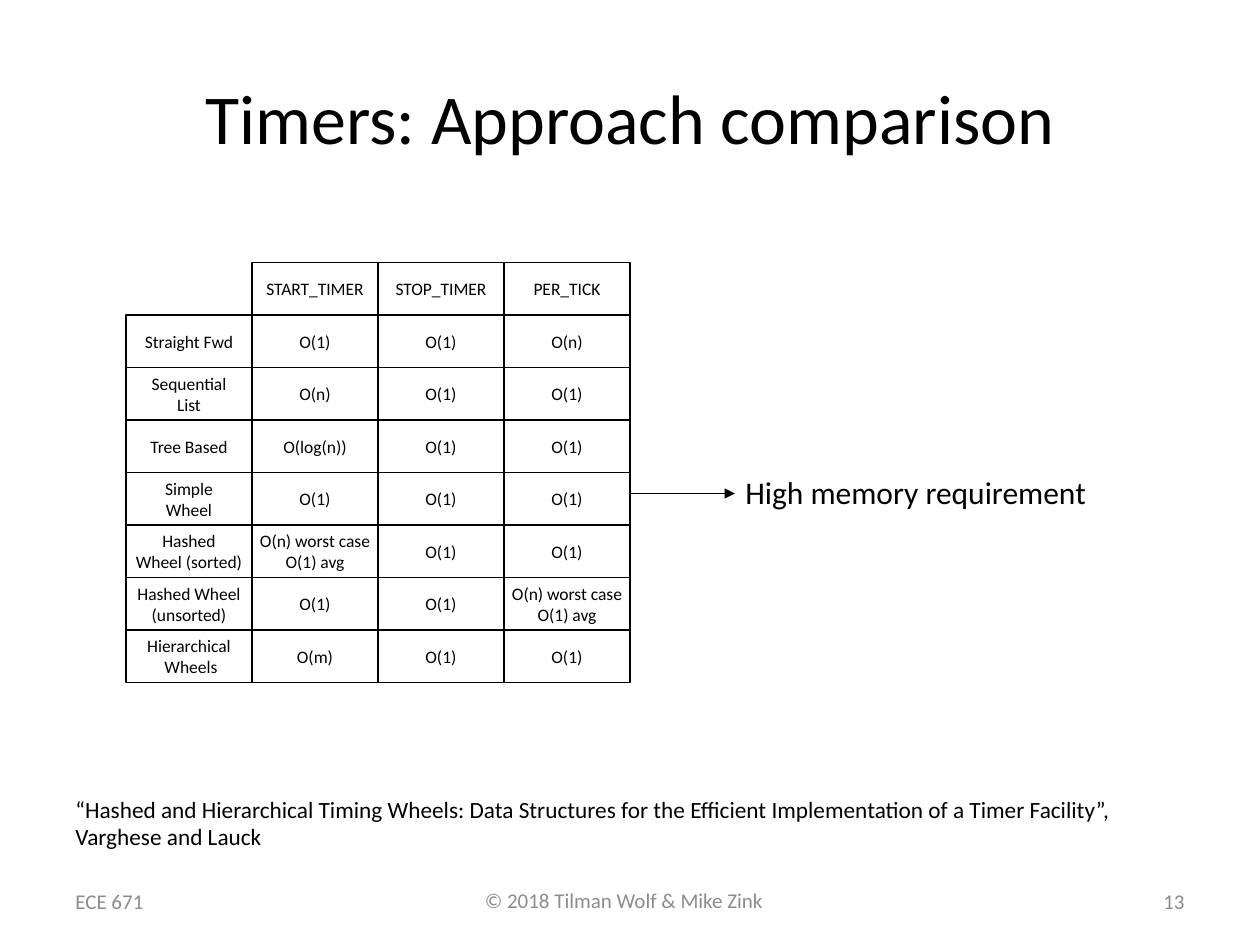
import dataclasses
import typing

import pptx
import pptx.dml.color
import pptx.enum.shapes
import pptx.enum.text
import pptx.oxml
import pptx.oxml.ns
import pptx.util

PX = 7620  # EMU per px, 120 px to the inch
FONT = "Calibri"
COLORS = {"ink": "000000", "gray": "8C8C8C"}
ALIGN = pptx.enum.text.PP_ALIGN
ANCHOR = pptx.enum.text.MSO_ANCHOR
NS = pptx.oxml.ns.nsdecls("a")

GRID = [
    ["", "START_TIMER", "STOP_TIMER", "PER_TICK"],
    ["Straight Fwd", "O(1)", "O(1)", "O(n)"],
    ["Sequential\nList", "O(n)", "O(1)", "O(1)"],
    ["Tree Based", "O(log(n))", "O(1)", "O(1)"],
    ["Simple\nWheel", "O(1)", "O(1)", "O(1)"],
    ["Hashed\nWheel (sorted)", "O(n) worst case\nO(1) avg", "O(1)", "O(1)"],
    ["Hashed Wheel\n(unsorted)", "O(1)", "O(1)", "O(n) worst case\nO(1) avg"],
    ["Hierarchical\n Wheels", "O(m)", "O(1)", "O(1)"],
]
LEFT, TOP, COL, ROW = 120, 250, 120, 50


@dataclasses.dataclass
class Label:
    text: str
    x: int
    y: int
    w: int
    h: int
    size: float
    color: str = "ink"
    align: typing.Any = ALIGN.LEFT
    anchor: typing.Any = ANCHOR.TOP
    wrap: bool = True


TITLE = Label("Timers: Approach comparison", 60, 36, 1080, 150, 40,
              align=ALIGN.CENTER, anchor=ANCHOR.MIDDLE)
LABELS = [
    Label("© 2018 Tilman Wolf & Mike Zink", 450, 839, 293, 60, 12, "gray", wrap=False),
    Label("“Hashed and Hierarchical Timing Wheels: Data Structures for the Efficient "
          "Implementation of a Timer Facility”, Varghese and Lauck", 60, 751, 1080, 54, 13.3),
    Label("ECE 671", 60, 834, 280, 48, 12, "gray", anchor=ANCHOR.MIDDLE),
    Label("13", 860, 834, 280, 48, 12, "gray", ALIGN.RIGHT, ANCHOR.MIDDLE),
    Label("High memory requirement", 698, 445, 373, 48, 18, wrap=False),
]


def rgb(name: str) -> pptx.dml.color.RGBColor:
    return pptx.dml.color.RGBColor.from_string(COLORS[name])


def fill_text(shape, item: Label) -> None:
    shape.left, shape.top = item.x * PX, item.y * PX
    shape.width, shape.height = item.w * PX, item.h * PX
    frame = shape.text_frame
    frame.text = item.text
    frame.word_wrap = item.wrap
    frame.vertical_anchor = item.anchor
    for para in frame.paragraphs:
        para.alignment = item.align
        for run in para.runs:
            run.font.name = FONT
            run.font.size = pptx.util.Pt(item.size)
            run.font.color.rgb = rgb(item.color)


def set_line(line) -> None:
    line.width = pptx.util.Pt(0.75)
    line.color.rgb = rgb("ink")


def draw_box(slide, item: Label) -> None:
    box = slide.shapes.add_shape(pptx.enum.shapes.MSO_SHAPE.RECTANGLE, 0, 0, 0, 0)
    box.shadow.inherit = False
    box.fill.background()
    set_line(box.line)
    fill_text(box, item)


def draw_grid(slide) -> None:
    for r, line in enumerate(GRID):
        for c, text in enumerate(line):
            if text:
                draw_box(slide, Label(text, LEFT + c * COL, TOP + r * ROW, COL, ROW, 10,
                                      align=ALIGN.CENTER, anchor=ANCHOR.MIDDLE, wrap=False))


def draw_arrow(slide, x: int, y: int, end: int) -> None:
    arrow = slide.shapes.add_connector(pptx.enum.shapes.MSO_CONNECTOR.STRAIGHT,
                                       x * PX, y * PX, end * PX, y * PX)
    set_line(arrow.line)
    arrow.line._get_or_add_ln().append(
        pptx.oxml.parse_xml(f'<a:tailEnd {NS} type="triangle"/>'))
    arrow._element.spPr.append(pptx.oxml.parse_xml(f"<a:effectLst {NS}/>"))


def main() -> None:
    deck = pptx.Presentation()
    deck.slide_width, deck.slide_height = 1200 * PX, 900 * PX
    slide = deck.slides.add_slide(deck.slide_layouts[5])

    # Title, notes and footer
    fill_text(slide.shapes.title, TITLE)
    for item in LABELS:
        fill_text(slide.shapes.add_textbox(0, 0, 0, 0), item)

    # Cost grid and the arrow from its simple wheel row
    draw_grid(slide)
    draw_arrow(slide, LEFT + len(GRID[0]) * COL, 470, 700)

    deck.save("out.pptx")


if __name__ == "__main__":
    main()
